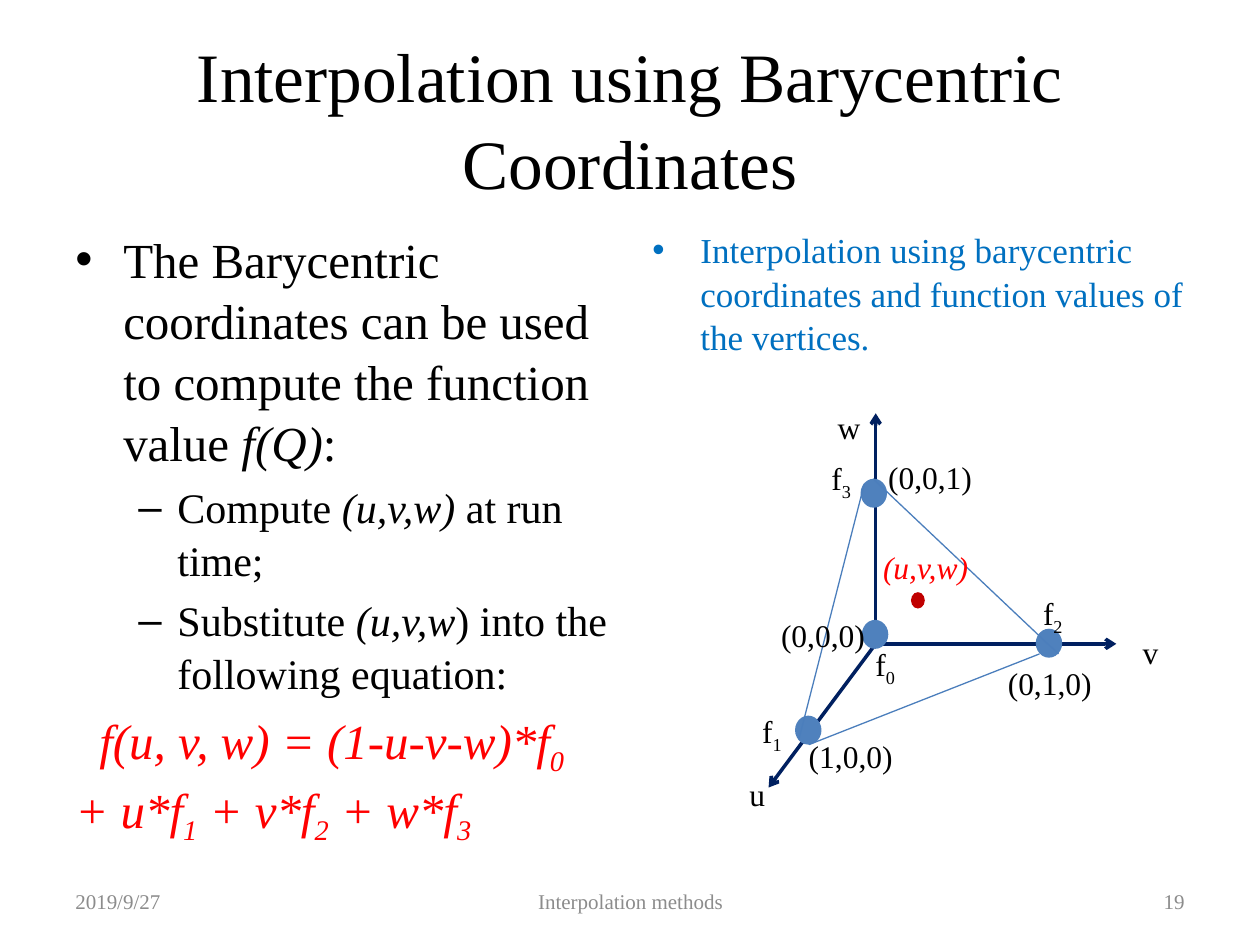
from dataclasses import dataclass
from typing import NamedTuple

from lxml import etree
from pptx import Presentation
from pptx.dml.color import RGBColor
from pptx.enum.shapes import MSO_CONNECTOR, MSO_SHAPE
from pptx.enum.text import MSO_ANCHOR, MSO_AUTO_SIZE, PP_ALIGN
from pptx.oxml.ns import qn
from pptx.util import Pt

STRAIGHT = MSO_CONNECTOR.STRAIGHT
OVAL = MSO_SHAPE.OVAL
TOP, MIDDLE = MSO_ANCHOR.TOP, MSO_ANCHOR.MIDDLE
LEFT, CENTER, RIGHT = PP_ALIGN.LEFT, PP_ALIGN.CENTER, PP_ALIGN.RIGHT
GROW = MSO_AUTO_SIZE.SHAPE_TO_FIT_TEXT

EMU_PER_PX = 9144
FONT = "Times New Roman"
LINE_SPACING = 1.04
COLORS = {
    "text": "000000",
    "accent": "0070C0",
    "formula": "FF0000",
    "axis": "002060",
    "edge": "4B7EBC",
    "vertex": "4F81BD",
    "query": "C00000",
    "footer": "8C8C8C",
}


class Box(NamedTuple):
    left: int
    top: int
    width: int
    height: int


class Piece(NamedTuple):
    text: str
    italic: bool = False
    subscript: bool = False


@dataclass
class Para:
    pieces: list[Piece]
    size: float
    color: str = "text"
    align: PP_ALIGN = LEFT
    bullet: str = ""
    margin: int = 0
    indent: int = 0
    level: int = 0
    space_before: float = 0


class Segment(NamedTuple):
    start: tuple[int, int]
    end: tuple[int, int]


class Label(NamedTuple):
    box: Box
    pieces: list[Piece]
    color: str = "text"


def px(value: int) -> int:
    return value * EMU_PER_PX


def rgb(name: str) -> RGBColor:
    return RGBColor.from_string(COLORS[name])


def write_paragraph(paragraph, para: Para) -> None:
    paragraph.alignment = para.align
    paragraph.level = para.level
    paragraph.line_spacing = LINE_SPACING
    paragraph.space_before = Pt(para.space_before)
    properties = paragraph._p.get_or_add_pPr()
    properties.set("marL", str(px(para.margin)))
    properties.set("indent", str(px(para.indent)))
    if para.bullet:
        etree.SubElement(properties, qn("a:buFont")).set("typeface", "Arial")
        etree.SubElement(properties, qn("a:buChar")).set("char", para.bullet)
    for piece in para.pieces:
        run = paragraph.add_run()
        run.text = piece.text
        run.font.name = FONT
        run.font.size = Pt(para.size)
        run.font.italic = piece.italic
        run.font.color.rgb = rgb(para.color)
        if piece.subscript:
            run._r.get_or_add_rPr().set("baseline", "-25000")


def add_text(slide, box: Box, paras: list[Para], anchor=TOP, wrap: bool = True) -> None:
    frame = slide.shapes.add_textbox(*map(px, box)).text_frame
    frame.word_wrap = wrap
    frame.vertical_anchor = anchor
    if not wrap:
        frame.auto_size = GROW
    for index, para in enumerate(paras):
        write_paragraph(frame.add_paragraph() if index else frame.paragraphs[0], para)


def add_segment(slide, segment: Segment, color: str, width: float, arrow: bool = False) -> None:
    connector = slide.shapes.add_connector(
        STRAIGHT, *map(px, segment.start + segment.end))
    connector.line.color.rgb = rgb(color)
    connector.line.width = Pt(width)
    if arrow:
        tail = etree.SubElement(connector.line._get_or_add_ln(), qn("a:tailEnd"))
        tail.set("type", "arrow")
    etree.SubElement(connector._element.spPr, qn("a:effectLst"))


def add_dot(slide, box: Box, color: str) -> None:
    dot = slide.shapes.add_shape(OVAL, *map(px, box))
    dot.shadow.inherit = False
    dot.fill.solid()
    dot.fill.fore_color.rgb = rgb(color)
    dot.line.fill.background()


def add_label(slide, label: Label) -> None:
    add_text(slide, label.box, [Para(label.pieces, 18, label.color)], wrap=False)


def sub(digit: int) -> Piece:
    return Piece(str(digit), True, True)


TITLE = Para([Piece("Interpolation using Barycentric Coordinates")], 39.6, align=CENTER)
STEP = dict(size=24, bullet="–", margin=81, indent=-31, level=1, space_before=4.8)
METHOD = [
    Para([Piece("The Barycentric coordinates can be used to compute the function value "),
          Piece("f(Q)", True), Piece(":")],
         28, bullet="•", margin=38, indent=-38, space_before=5.6),
    Para([Piece("Compute "), Piece("(u,v,w) ", True), Piece("at run time;")], **STEP),
    Para([Piece("Substitute "), Piece("(u,v,w", True),
          Piece(") into the following equation:")], **STEP),
    Para([Piece("f(u, v, w) = (1-u-v-w)*f", True), sub(0),
          Piece(" + u*f", True), sub(1),
          Piece(" + v*f", True), sub(2),
          Piece(" + w*f", True), sub(3)],
         28, "formula", indent=19, space_before=5.6),
]
SUMMARY = Para(
    [Piece("Interpolation using barycentric coordinates and function values of the vertices.")],
    20, "accent", bullet="•", margin=38, indent=-38, space_before=4)

ORIGIN = (695, 511)
AXIS_TIPS = [(695, 328), (886, 511), (610, 625)]
VERTICES = [(684, 492), (683, 380), (631, 568), (822, 499)]
EDGES = [
    Segment((686, 384), (634, 587)),
    Segment((693, 380), (840, 519)),
    Segment((642, 591), (825, 519)),
]
AXIS_LABELS = [("w", 655, 318), ("u", 585, 609), ("v", 897, 496)]
COORDINATE_LABELS = [("(0,0,0)", 610, 483), ("(1,0,0)", 632, 579),
                     ("(0,1,0)", 790, 521), ("(0,0,1)", 695, 357)]
VALUE_LABELS = [(0, 685, 506), (3, 650, 358), (2, 818, 465), (1, 595, 559)]
LABELS = (
    [Label(Box(x, y, 44, 59), [Piece(name)]) for name, x, y in AXIS_LABELS]
    + [Label(Box(x, y, 118, 59), [Piece(name)]) for name, x, y in COORDINATE_LABELS]
    + [Label(Box(691, 429, 91, 40), [Piece("(u,v,w)", True)], "formula")]
    + [Label(Box(x, y, 37, 40), [Piece("f"), Piece(str(index), subscript=True)])
       for index, x, y in VALUE_LABELS]
)
FOOTERS = [
    (Box(342, 695, 317, 40), "Interpolation methods", CENTER),
    (Box(717, 695, 233, 40), "19", RIGHT),
    (Box(50, 695, 233, 40), "2019/9/27", LEFT),
]


def main() -> None:
    deck = Presentation()
    deck.slide_width, deck.slide_height = px(1000), px(750)
    slide = deck.slides.add_slide(deck.slide_layouts[6])

    add_text(slide, Box(50, 30, 900, 125), [TITLE], MIDDLE)
    add_text(slide, Box(50, 175, 442, 495), METHOD)
    add_text(slide, Box(508, 175, 442, 495), [SUMMARY])

    for tip in AXIS_TIPS:
        add_segment(slide, Segment(ORIGIN, tip), "axis", 2, arrow=True)
    for x, y in VERTICES:
        add_dot(slide, Box(x, y, 21, 23), "vertex")
    for edge in EDGES:
        add_segment(slide, edge, "edge", 0.75)
    add_dot(slide, Box(723, 470, 11, 13), "query")
    for label in LABELS:
        add_label(slide, label)

    for box, text, align in FOOTERS:
        add_text(slide, box, [Para([Piece(text)], 12, "footer", align)], MIDDLE)

    deck.save("out.pptx")


if __name__ == "__main__":
    main()
